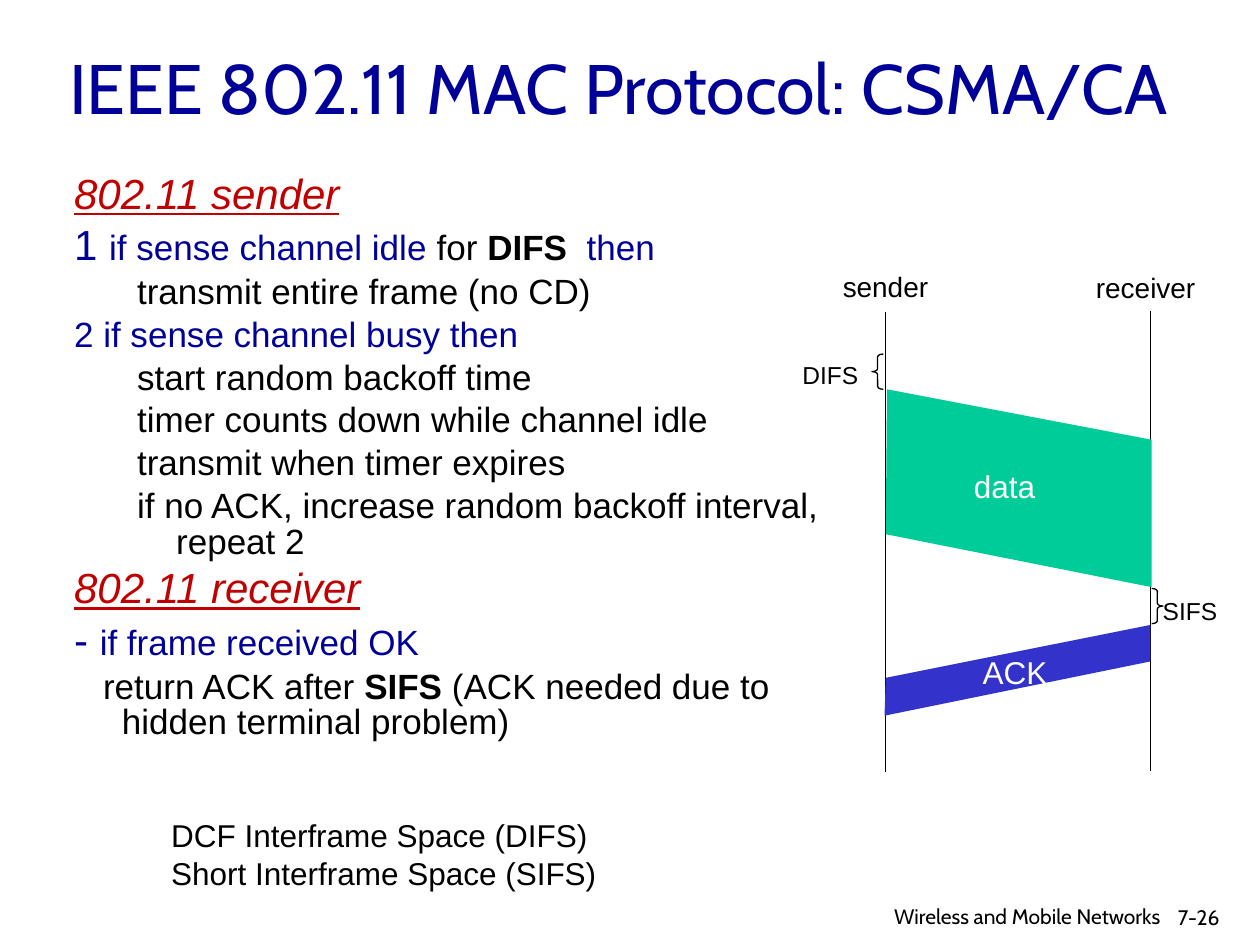
from lxml import etree
from pptx import Presentation
from pptx import util as u
from pptx.dml import color
from pptx.enum import shapes, text
from pptx.oxml import ns

THEME = {
    "navy": "000099", "red": "C00000", "black": "000000", "white": "FFFFFF",
    "data": "00CC99", "ack": "3333CC",
    "title": 40, "heading": 24, "body": 20, "label": 18, "host": 16, "gap": 14, "footer": 12,
    "body_font": "Arial", "title_font": "Cabin",
}


def add_run(paragraph, wording, size, ink="black", font="body_font", **styles):
    run = paragraph.add_run()
    run.text = wording
    formats = {"name": THEME[font], "size": u.Pt(THEME[size]), **styles}
    for name, value in formats.items():
        setattr(run.font, name, value)
    run.font.color.rgb = color.RGBColor.from_string(THEME[ink])


def add_box(left, top, width, height, **formats):
    box = slide.shapes.add_textbox(*map(u.Inches, (left, top, width, height)))
    for name, value in {"word_wrap": True, **formats}.items():
        setattr(box.text_frame, name, value)
    return box.text_frame


presentation = Presentation()
presentation.slide_width, presentation.slide_height = u.Inches(10), u.Inches(7.5)
slide = presentation.slides.add_slide(presentation.slide_layouts[6])

title = add_box(0.45, 0.17, 8.99, 1.04, vertical_anchor=text.MSO_ANCHOR.MIDDLE)
add_run(title.paragraphs[0], "IEEE 802.11 MAC Protocol: CSMA/CA", "title", "navy", "title_font")

HEADING = {"italic": True, "underline": True}
BOLD = {"bold": True}
INDENTS = {"top": (0.38, -0.38), "step": (0.81, -0.31), "reply": (0.38, -0.15)}
body_lines = [
    ("top", [("802.11 sender", "heading", "red", HEADING)]),
    ("top", [("1 ", "heading", "navy", {}), ("if sense channel idle", "body", "navy", {}),
             (" for ", "body", "black", {}), ("DIFS  ", "body", "black", BOLD),
             ("then", "body", "navy", {})]),
    ("step", [("transmit entire frame (no CD)", "body", "black", {})]),
    ("top", [("2 if sense channel busy then", "body", "navy", {})]),
    ("step", [("start random backoff time", "body", "black", {})]),
    ("step", [("timer counts down while channel idle", "body", "black", {})]),
    ("step", [("transmit when timer expires", "body", "black", {})]),
    ("step", [("if no ACK, increase random backoff interval, repeat 2", "body", "black", {})]),
    ("top", [("802.11 receiver", "heading", "red", HEADING)]),
    ("top", [("- ", "heading", "navy", {}), ("if frame received OK", "body", "navy", {})]),
    ("reply", [("return ACK after ", "body", "black", {}), ("SIFS ", "body", "black", BOLD),
               ("(ACK needed due to hidden terminal problem)", "body", "black", {})]),
]
body = add_box(0.49, 1.34, 6.16, 5.42)
for index, (level, runs) in enumerate(body_lines):
    paragraph = body.add_paragraph() if index else body.paragraphs[0]
    paragraph.line_spacing = 0.85
    paragraph.space_before = u.Pt(0.2 * THEME[runs[0][1]])
    margin, indent = INDENTS[level]
    properties = paragraph._p.get_or_add_pPr()
    properties.set("marL", str(u.Inches(margin)))
    properties.set("indent", str(u.Inches(indent)))
    for wording, size, ink, styles in runs:
        add_run(paragraph, wording, size, ink, **styles)

for x, top in ((7.03, 2.48), (9.13, 2.47)):
    timeline = slide.shapes.add_connector(
        shapes.MSO_CONNECTOR.STRAIGHT, *map(u.Inches, (x, top, x, top + 3.65)))
    timeline.line.width = u.Pt(0.75)
    timeline.line.color.rgb = color.RGBColor.from_string(THEME["black"])
    etree.SubElement(timeline._element.spPr, ns.qn("a:effectLst"))

frames = [
    ("data", [(7.04, 3.09), (9.14, 3.49), (9.14, 4.66), (7.03, 4.24)]),
    ("ack", [(7.02, 5.68), (9.13, 5.25), (9.13, 4.96), (7.03, 5.38)]),
]
for fill, corners in frames:
    points = [(u.Inches(x), u.Inches(y)) for x, y in corners]
    builder = slide.shapes.build_freeform(*points[0])
    builder.add_line_segments(points[1:], close=True)
    frame = builder.convert_to_shape()
    frame.shadow.inherit = False
    frame.fill.solid()
    frame.fill.fore_color.rgb = color.RGBColor.from_string(THEME[fill])
    frame.line.fill.background()

braces = [(shapes.MSO_SHAPE.LEFT_BRACE, 6.92, 2.81), (shapes.MSO_SHAPE.RIGHT_BRACE, 9.14, 4.67)]
for kind, left, top in braces:
    brace = slide.shapes.add_shape(kind, *map(u.Inches, (left, top, 0.09, 0.28)))
    brace.adjustments[0] = 0.25
    brace.shadow.inherit = False
    brace.fill.background()
    brace.line.width = u.Pt(0.75)
    brace.line.color.rgb = color.RGBColor.from_string(THEME["black"])

labels = [
    ("sender", 6.59, 2.09, 0.91, 0.37, "host", "black"),
    ("receiver", 8.6, 2.1, 1, 0.37, "host", "black"),
    ("DIFS", 6.27, 2.81, 0.65, 0.34, "gap", "black"),
    ("SIFS", 9.13, 4.68, 0.64, 0.34, "gap", "black"),
    ("data", 7.63, 3.66, 0.69, 0.4, "label", "white"),
    ("ACK", 7.7, 5.13, 0.72, 0.4, "label", "white"),
]
for wording, left, top, width, height, size, ink in labels:
    label = add_box(left, top, width, height, word_wrap=False)
    add_run(label.paragraphs[0], wording, size, ink)

legend = add_box(1.26, 6.43, 3.61, 0.71, word_wrap=False)
add_run(legend.paragraphs[0], "DCF Interframe Space (DIFS)", "label")
add_run(legend.add_paragraph(), "Short Interframe Space (SIFS)", "label")

page_number = add_box(9.25, 7.13, 0.75, 0.3)
add_run(page_number.paragraphs[0], "7-26", "footer", font="title_font")
footer = add_box(6.4, 7.12, 2.91, 0.28)
footer.paragraphs[0].alignment = text.PP_ALIGN.RIGHT
add_run(footer.paragraphs[0], "Wireless and Mobile Networks", "footer", font="title_font")

presentation.save("out.pptx")
